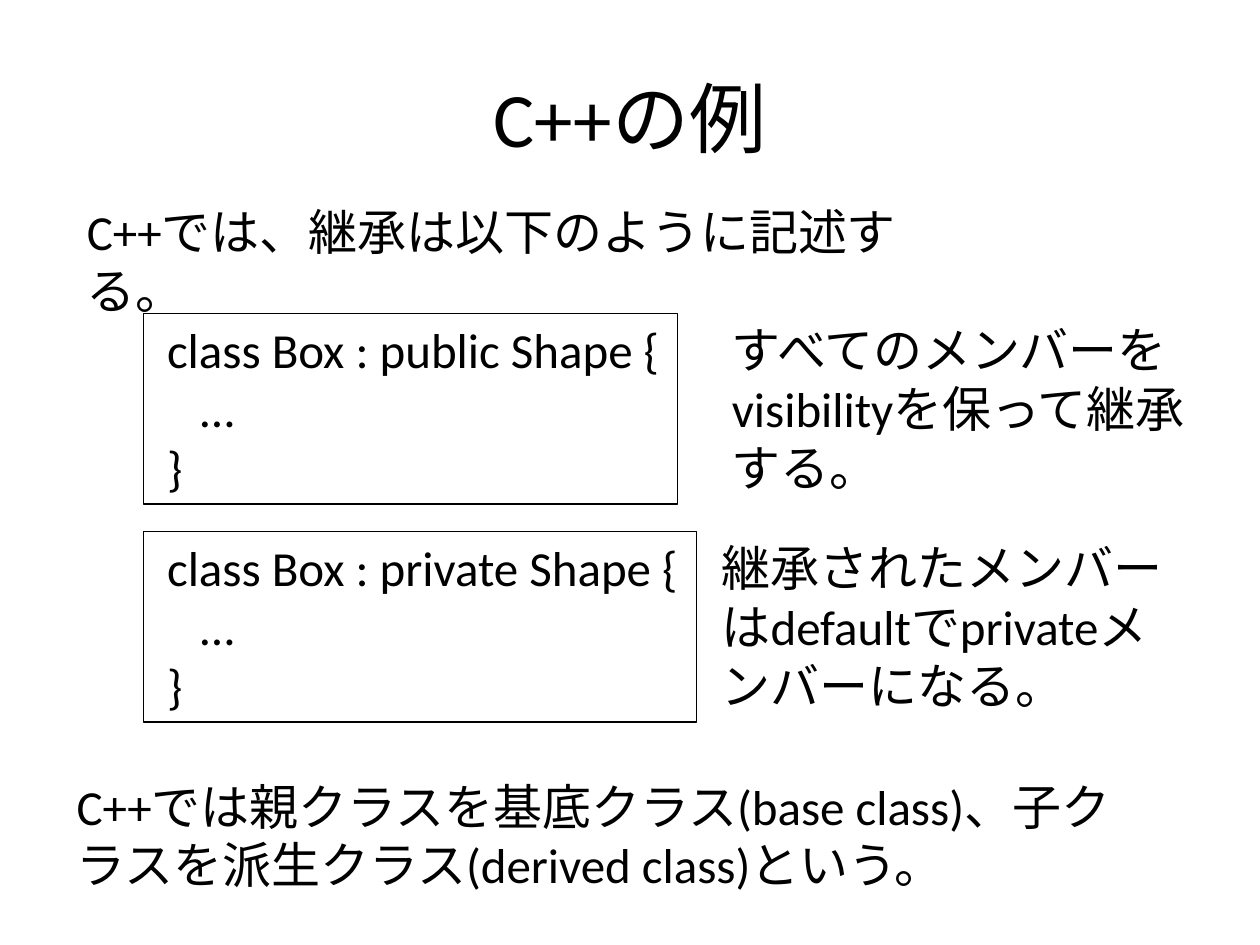
from pptx import Presentation
from pptx.dml.color import RGBColor
from pptx.enum.lang import MSO_LANGUAGE_ID as Language
from pptx.enum.shapes import MSO_SHAPE as Shape
from pptx.enum.text import MSO_ANCHOR as Anchor, MSO_AUTO_SIZE as AutoSize, PP_ALIGN as Align
from pptx.util import Inches, Pt

BLACK = RGBColor(0, 0, 0)
FONT = "Calibri"
COLUMN = ROW = Inches(0.1)
BODY_SIZE = 28
CODE_LEFT = 11.4
NOTE_RIGHT = 95.7
EXAMPLE_TOP = 24.9
EXAMPLE_STEP = 17.3
EXAMPLE_HEIGHT = 15.1

EXAMPLES = [
    ("public", 42.4, 57.1, "すべてのメンバーをvisibilityを保って継承する。"),
    ("private", 43.9, 56.3, "継承されたメンバーはdefaultでprivateメンバーになる。"),
]


def grid(left, top, width, height):
    return (round(left * COLUMN), round(top * ROW),
            round(width * COLUMN), round(height * ROW))


def write(shape, text, size=BODY_SIZE, align=Align.LEFT, anchor=Anchor.TOP, wrap=True):
    frame = shape.text_frame
    frame.text = text
    frame.word_wrap = wrap
    frame.vertical_anchor = anchor
    for para in frame.paragraphs:
        para.alignment = align
        for span in para.runs:
            span.font.name = FONT
            span.font.size = Pt(size)
            span.font.color.rgb = BLACK
            span.font.language_id = Language.JAPANESE


def add_title(page, box, text):
    write(page.shapes.add_textbox(*grid(*box)), text, 44, Align.CENTER, Anchor.MIDDLE)


def add_body(page, box, text):
    write(page.shapes.add_textbox(*grid(*box)), text)


def add_code(page, box, text):
    frame = page.shapes.add_shape(Shape.RECTANGLE, *grid(*box))
    frame.shadow.inherit = False
    frame.fill.background()
    frame.line.color.rgb = BLACK
    frame.line.width = Pt(0.75)
    write(frame, text, wrap=False)
    frame.text_frame.auto_size = AutoSize.SHAPE_TO_FIT_TEXT


def add_example(page, top, access, code_width, note_left, note):
    code = f" class Box : {access} Shape {{\n    …\n }}"
    add_code(page, (CODE_LEFT, top, code_width, EXAMPLE_HEIGHT), code)
    add_body(page, (note_left, top, NOTE_RIGHT - note_left, EXAMPLE_HEIGHT), note)


def main():
    deck = Presentation()
    deck.slide_width = Inches(10)
    deck.slide_height = Inches(7.5)
    page = deck.slides.add_slide(deck.slide_layouts[6])
    add_title(page, (5, 3, 90, 12.5), "C++の例")
    add_body(page, (5.9, 15.5, 69.2, 5.7), "C++では、継承は以下のように記述する。")
    for index, example in enumerate(EXAMPLES):
        add_example(page, EXAMPLE_TOP + index * EXAMPLE_STEP, *example)
    add_body(page, (5.1, 61.1, 87.5, 10.4),
             "C++では親クラスを基底クラス(base class)、子クラスを派生クラス(derived class)という。")
    deck.save("out.pptx")


if __name__ == "__main__":
    main()
